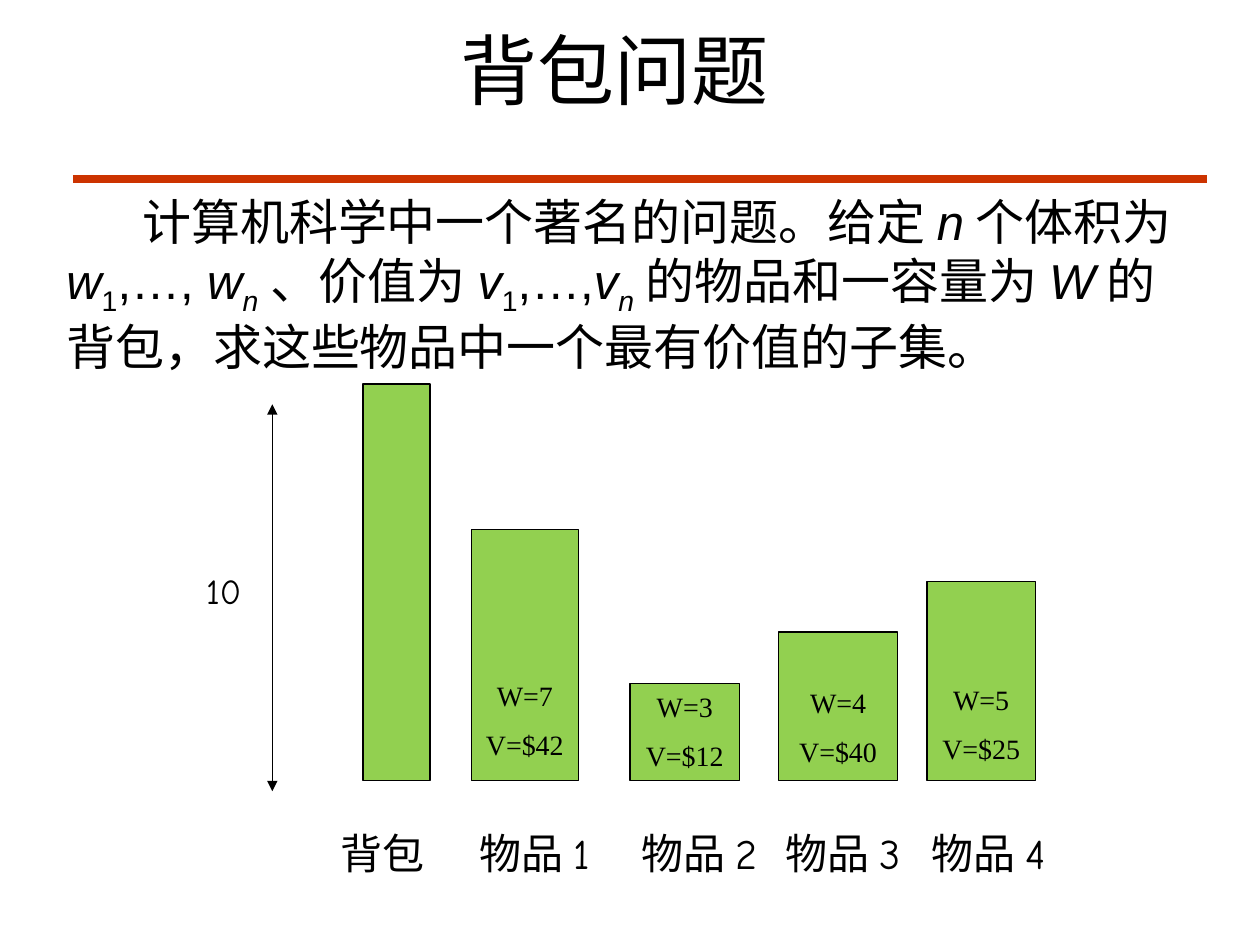
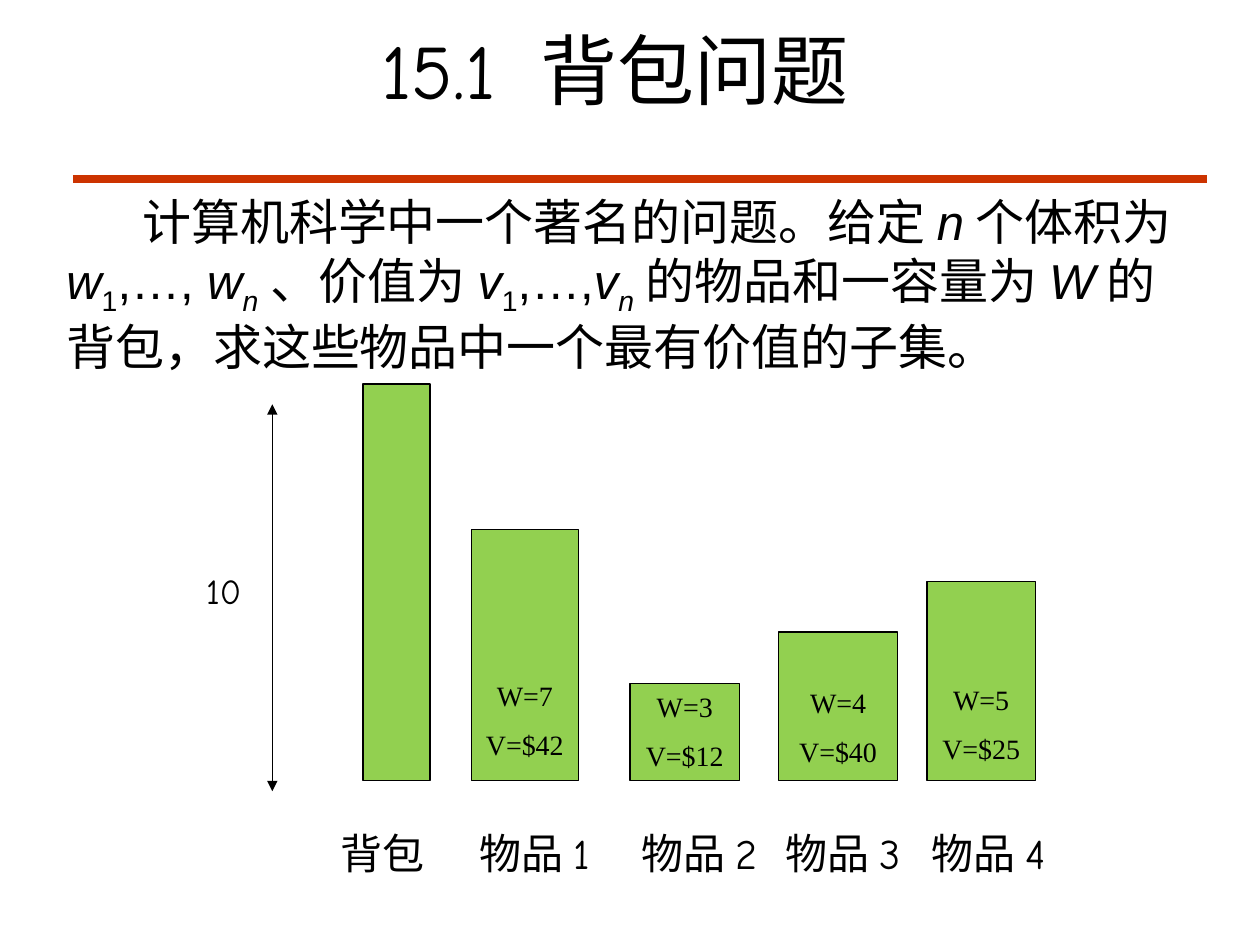
import lxml.etree
import pptx
import pptx.dml.color
import pptx.enum.shapes
import pptx.enum.text
import pptx.oxml.ns
import pptx.util

Cm = pptx.util.Cm
Pt = pptx.util.Pt
RGBColor = pptx.dml.color.RGBColor
PP_ALIGN = pptx.enum.text.PP_ALIGN
MSO_ANCHOR = pptx.enum.text.MSO_ANCHOR
qn = pptx.oxml.ns.qn

TITLES = ["背包问题", "15.1 背包问题"]

# (text, style): i = italic, s = subscript
PROBLEM = [
    ("计算机科学中一个著名的问题。给定", ""), ("n", "i"), ("个体积为", ""),
    ("w", "i"), ("1", "s"), (",…, ", ""), ("w", "i"), ("n", "is"),
    ("、价值为", ""), ("v", "i"), ("1", "s"), (",…,", ""), ("v", "i"), ("n", "is"),
    ("的物品和一容量为", ""), ("W", "i"),
    ("的背包，求这些物品中一个最有价值的子集。", ""),
]

# label, (label left, width), (bar left, width, height), bar text, gap below text; in cm
BARS = [
    ("背包", (6.55, 2.34), (7.32, 1.35, 8.0), "", 0),
    ("物品1", (9.3, 2.97), (9.5, 2.16, 5.06), "W=7\nV=$42", 0.4),
    ("物品2", (12.5, 3.2), (12.7, 2.21, 1.96), "W=3\nV=$12", 0.18),
    ("物品3", (15.49, 3.0), (15.7, 2.39, 3.0), "W=4\nV=$40", 0.25),
    ("物品4", (18.29, 3.3), (18.69, 2.18, 4.01), "W=5\nV=$25", 0.32),
]
BAR_BOTTOM = 15.74
LABEL_TOP, LABEL_HEIGHT = 16.54, 1.3
CAPACITY = ("10", (3.71, 11.35, 1.6, 1.09))

BLACK = RGBColor(0x00, 0x00, 0x00)
GREEN = RGBColor(0x92, 0xD0, 0x50)
RED = RGBColor(0xCC, 0x33, 0x00)
DISPLAY_FONT, BODY_FONT, BAR_FONT = "Comic Neue", "Arial", "Times New Roman"


def style_font(font, name, size):
    font.name, font.size = name, Pt(size)
    font.color.rgb = BLACK


def set_centred_text(tf, text, name, size):
    tf.text = text
    for p in tf.paragraphs:
        p.alignment = PP_ALIGN.CENTER
        for r in p.runs:
            style_font(r.font, name, size)


def add_line(shapes, start, end, color, width, arrows=False):
    ends = [Cm(v) for v in (*start, *end)]
    line = shapes.add_connector(pptx.enum.shapes.MSO_CONNECTOR.STRAIGHT, *ends)
    line.line.color.rgb = color
    line.line.width = Pt(width)
    sp_pr = line._element.spPr
    if arrows:
        for tag in ("a:headEnd", "a:tailEnd"):
            lxml.etree.SubElement(sp_pr.find(qn("a:ln")), qn(tag), type="triangle")
    lxml.etree.SubElement(sp_pr, qn("a:effectLst"))


def add_label(shapes, text, box, size):
    tf = shapes.add_textbox(*[Cm(v) for v in box]).text_frame
    tf.word_wrap = True
    tf.margin_left = tf.margin_right = 0
    tf.vertical_anchor = MSO_ANCHOR.MIDDLE
    set_centred_text(tf, text, DISPLAY_FONT, size)


def add_bar(shapes, left, width, height, text, gap):
    box = (left, BAR_BOTTOM - height, width, height)
    sp = shapes.add_shape(pptx.enum.shapes.MSO_SHAPE.RECTANGLE, *[Cm(v) for v in box])
    sp.shadow.inherit = False
    sp.fill.solid()
    sp.fill.fore_color.rgb = GREEN
    sp.line.color.rgb = BLACK
    sp.line.width = Pt(0.75)
    if text:
        tf = sp.text_frame
        tf.margin_left = tf.margin_right = tf.margin_top = 0
        tf.margin_bottom = Cm(gap)
        tf.vertical_anchor = MSO_ANCHOR.BOTTOM
        set_centred_text(tf, text, BAR_FONT, 16)
        tf.paragraphs[-1].space_before = Pt(8.7)


def add_title(slide, text):
    title = slide.shapes.title
    title.left, title.top, title.width, title.height = Cm(1.5), Cm(0.33), Cm(21.79), Cm(2.11)
    tf = title.text_frame
    tf.auto_size = pptx.enum.text.MSO_AUTO_SIZE.NONE
    tf.vertical_anchor = MSO_ANCHOR.MIDDLE
    set_centred_text(tf, text, DISPLAY_FONT, 44)


def add_problem(shapes):
    tf = shapes.add_textbox(Cm(1.09), Cm(3.73), Cm(23.39), Cm(4.8)).text_frame
    tf.word_wrap = True
    p = tf.paragraphs[0]
    p._p.get_or_add_pPr().set("indent", str(Cm(1.53)))
    for text, style in PROBLEM:
        r = p.add_run()
        r.text = text
        style_font(r.font, BODY_FONT, 28)
        r.font.italic = "i" in style
        if "s" in style:
            r._r.get_or_add_rPr().set("baseline", "-25000")


def add_diagram(shapes):
    group = shapes.add_group_shape().shapes
    add_line(group, (5.49, 8.15), (5.49, 15.95), BLACK, 0.75, arrows=True)
    for label, (left, width), bar, text, gap in BARS:
        add_bar(group, *bar, text, gap)
        add_label(group, label, (left, LABEL_TOP, width, LABEL_HEIGHT), 24)
    add_label(group, *CAPACITY, 20)


def main():
    prs = pptx.Presentation()
    prs.slide_width, prs.slide_height = Cm(25.4), Cm(19.05)
    for title in TITLES:
        slide = prs.slides.add_slide(prs.slide_layouts[5])
        add_line(slide.shapes, (1.47, 3.61), (24.33, 3.61), RED, 4.5)
        add_diagram(slide.shapes)
        add_problem(slide.shapes)
        add_title(slide, title)
    prs.save("out.pptx")


if __name__ == "__main__":
    main()
